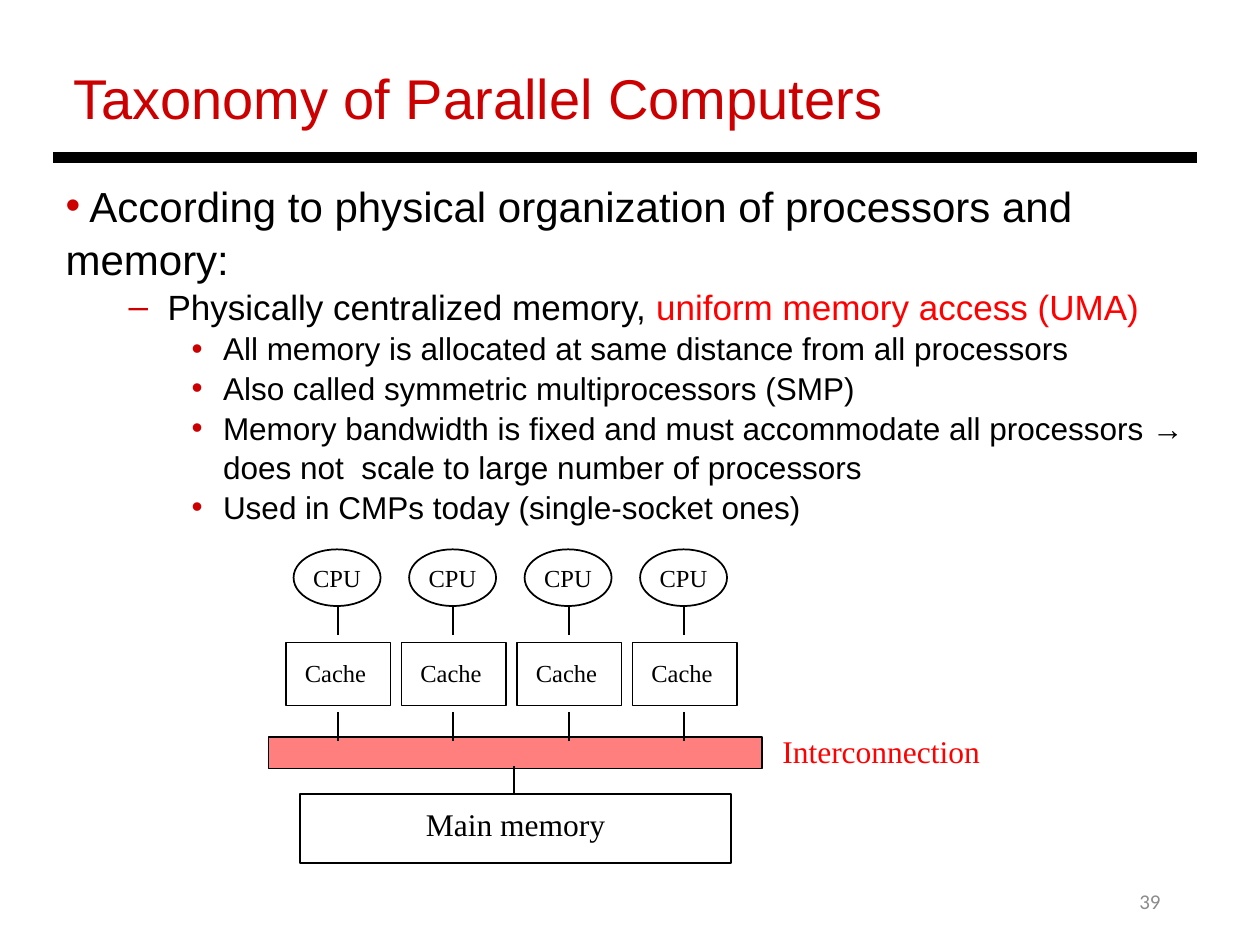
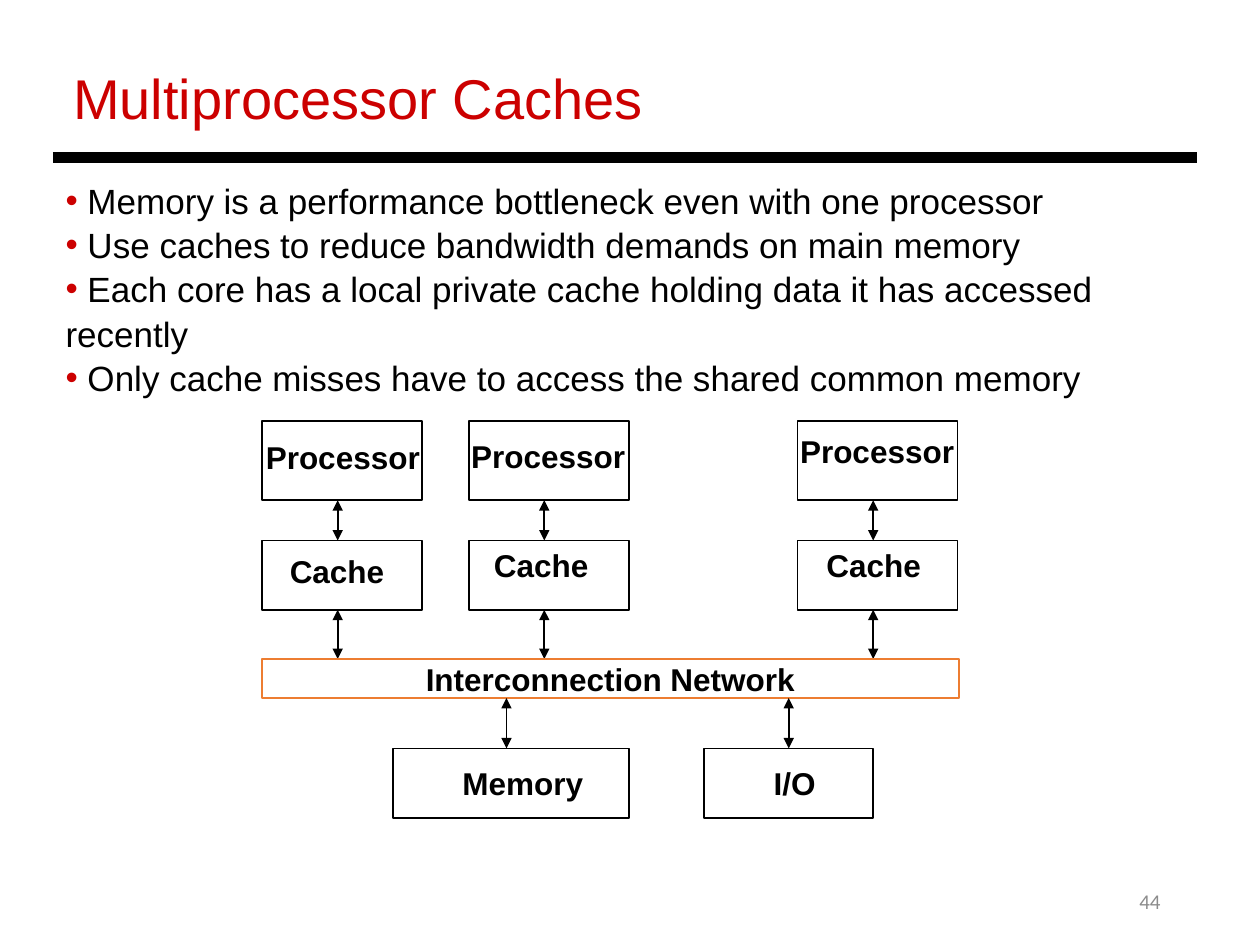
import pptx
import pptx.dml.color
import pptx.enum.shapes
import pptx.enum.text
import pptx.oxml.ns
import pptx.util
from lxml import etree

Inches = pptx.util.Inches
Pt = pptx.util.Pt
qn = pptx.oxml.ns.qn
SHAPE = pptx.enum.shapes.MSO_SHAPE
ALIGN = pptx.enum.text.PP_ALIGN
ANCHOR = pptx.enum.text.MSO_ANCHOR

COLORS = {
    "title": "CC0000",
    "bullet": "CC0000",
    "text": "000000",
    "line": "000000",
    "highlight": "FF0000",
    "network": "ED7D31",
    "page": "8C8C8C",
}
SANS, SERIF, PAGE_FONT = "Arial", "Times New Roman", "Calibri"
LINE_SPACING = 1.05
# Per list level: bullet, left margin and first-line indent in inches
LEVELS = [("•", 0, 0), ("–", 0.81, -0.31), ("•", 1.25, -0.25)]


def rgb(name):
    return pptx.dml.color.RGBColor.from_string(COLORS[name])


def set_font(font, size, face, color="text", bold=False):
    font.size = Pt(size)
    font.name = face
    font.bold = bold
    font.color.rgb = rgb(color)


def place(shape, left, top, width, height):
    shape.left, shape.top = Inches(left), Inches(top)
    shape.width, shape.height = Inches(width), Inches(height)


def set_frame(frame, anchor, insets=(0.1, 0.05, 0.1, 0.05)):
    frame.word_wrap = True
    frame.auto_size = pptx.enum.text.MSO_AUTO_SIZE.NONE
    frame.vertical_anchor = anchor
    (frame.margin_left, frame.margin_top,
     frame.margin_right, frame.margin_bottom) = map(Inches, insets)


def add_label(slide, text, box, size, face, color, align=ALIGN.LEFT,
              anchor=ANCHOR.TOP, insets=(0.1, 0.05, 0.1, 0.05)):
    label = slide.shapes.add_textbox(*map(Inches, box))
    set_frame(label.text_frame, anchor, insets)
    paragraph = label.text_frame.paragraphs[0]
    paragraph.text = text
    paragraph.alignment = align
    set_font(paragraph.font, size, face, color)


def add_line(slide, start, end, width=1, arrows=False):
    line = slide.shapes.add_connector(
        pptx.enum.shapes.MSO_CONNECTOR.STRAIGHT, *map(Inches, start + end))
    line.line.color.rgb = rgb("line")
    line.line.width = Pt(width)
    if arrows:
        outline = line.line._get_or_add_ln()
        for tag in ("a:headEnd", "a:tailEnd"):
            etree.SubElement(outline, qn(tag), type="triangle")
    etree.SubElement(line._element.spPr, qn("a:effectLst"))


def add_vertical(slide, x, top, bottom, arrows=False):
    add_line(slide, (x, top), (x, bottom), arrows=arrows)


def add_node(slide, box, text="", size=18, face=SANS, bold=False,
             line="line", kind=SHAPE.RECTANGLE, label_at=None):
    """Outlined shape; its text is centred, or starts at label_at inside it."""
    node = slide.shapes.add_shape(kind, *map(Inches, box))
    node.shadow.inherit = False
    node.fill.background()
    node.line.color.rgb = rgb(line)
    node.line.width = Pt(1)
    if text:
        left, top = label_at or (0, 0)
        set_frame(node.text_frame, ANCHOR.TOP if label_at else ANCHOR.MIDDLE,
                  (left, top, 0, 0))
        paragraph = node.text_frame.paragraphs[0]
        paragraph.text = text
        paragraph.alignment = ALIGN.LEFT if label_at else ALIGN.CENTER
        set_font(paragraph.font, size, face, bold=bold)
    return node


def set_bullet(paragraph, level):
    char, margin, indent = LEVELS[level]
    paragraph.level = level
    props = paragraph._p.get_or_add_pPr()
    props.set("marL", str(Inches(margin)))
    props.set("indent", str(Inches(indent)))
    color = etree.SubElement(props, qn("a:buClr"))
    etree.SubElement(color, qn("a:srgbClr"), val=COLORS["bullet"])
    etree.SubElement(props, qn("a:buFont"), typeface=SANS)
    etree.SubElement(props, qn("a:buChar"), char=char)


def fill_list(body, items):
    """Items are (level, size, text) with an optional highlighted ending."""
    set_frame(body.text_frame, ANCHOR.TOP)
    for index, (level, size, text, *endings) in enumerate(items):
        frame = body.text_frame
        paragraph = frame.add_paragraph() if index else frame.paragraphs[0]
        paragraph.line_spacing = LINE_SPACING
        paragraph.space_before = paragraph.space_after = Pt(0)
        set_bullet(paragraph, level)
        set_font(paragraph.font, size, SANS)
        paragraph.add_run().text = text
        for ending in endings:
            run = paragraph.add_run()
            run.text = ending
            run.font.color.rgb = rgb("highlight")


def start_slide(deck, title, page, items, list_height):
    slide = deck.slides.add_slide(deck.slide_layouts[1])
    heading, body = slide.placeholders
    place(heading, 0.48, 0.43, 8.26, 0.64)
    set_frame(heading.text_frame, ANCHOR.TOP)
    paragraph = heading.text_frame.paragraphs[0]
    paragraph.text = title
    paragraph.alignment = ALIGN.LEFT
    paragraph.line_spacing = LINE_SPACING
    set_font(paragraph.font, 32, SANS, "title")
    place(body, 0.42, 1.36, 9.28, list_height)
    fill_list(body, items)
    add_line(slide, (0.42, 1.25), (9.5, 1.25), width=6)
    add_label(slide, page, (7.06, 6.95, 2.25, 0.4), 12, PAGE_FONT, "page",
              ALIGN.RIGHT, ANCHOR.MIDDLE)
    return slide


def draw_uma(slide):
    bus = add_node(slide, (2.13, 5.85, 3.92, 0.25))
    bus.fill.solid()
    bus.fill.fore_color.rgb = rgb("highlight")
    bus_color = bus._element.spPr.find(qn("a:solidFill"))[0]
    etree.SubElement(bus_color, qn("a:alpha"), val="50000")
    add_label(slide, "Interconnection", (6.2, 5.79, 1.7, 0.33), 18, SERIF,
              "highlight", insets=(0.01, 0.02, 0, 0))

    pitch = 2.75 / 3
    for column in range(4):
        shift = column * pitch
        add_node(slide, (2.33 + shift, 4.36, 0.69, 0.45), "CPU", 14, SERIF,
                 kind=SHAPE.OVAL)
        add_node(slide, (2.27 + shift, 5.1, 0.83, 0.5), "Cache", 14, SERIF,
                 label_at=(0.15, 0.12))
        for top in (4.81, 5.65):
            add_vertical(slide, 2.68 + shift, top, top + 0.23)

    add_vertical(slide, 4.08, 6.08, 6.3)
    add_node(slide, (2.38, 6.3, 3.42, 0.55), "Main memory", 18, SERIF,
             label_at=(1, 0.09))


def draw_cache_system(slide):
    # Column left edge, then where the processor and cache labels start
    columns = [
        (2.08, (0.03, 0.14), (0.22, 0.09)),
        (3.72, (0.02, 0.13), (0.2, 0.04)),
        (6.33, (0.02, 0.09), (0.23, 0.04)),
    ]
    for left, processor_at, cache_at in columns:
        add_node(slide, (left, 3.34, 1.27, 0.63), "Processor", bold=True,
                 label_at=processor_at)
        add_node(slide, (left, 4.29, 1.27, 0.55), "Cache", bold=True,
                 label_at=cache_at)
        for top, bottom in ((3.97, 4.29), (4.84, 5.23)):
            add_vertical(slide, left + 0.6, top, bottom, arrows=True)

    add_node(slide, (2.08, 5.23, 5.53, 0.31), "Interconnection Network",
             bold=True, line="network")
    for text, left, width, arrow_x in (("Memory", 3.12, 1.87, 4.02),
                                       ("I/O", 5.59, 1.34, 6.26)):
        add_node(slide, (left, 5.94, width, 0.55), text, bold=True,
                 label_at=(0.55, 0.12))
        add_vertical(slide, arrow_x, 5.54, 5.94, arrows=True)


def main():
    deck = pptx.Presentation()
    deck.slide_width, deck.slide_height = Inches(10), Inches(7.5)

    draw_uma(start_slide(deck, "Taxonomy of Parallel Computers", "39", [
        (0, 24, " According to physical organization of processors and memory:"),
        (1, 20, "Physically centralized memory, ", "uniform memory access (UMA)"),
        (2, 18, "All memory is allocated at same distance from all processors"),
        (2, 18, "Also called symmetric multiprocessors (SMP)"),
        (2, 18, "Memory bandwidth is fixed and must accommodate all processors → "
                "does not  scale to large number of processors"),
        (2, 18, "Used in CMPs today (single-socket ones)"),
    ], 2.76))

    draw_cache_system(start_slide(deck, "Multiprocessor Caches", "44", [
        (0, 20, " Memory is a performance bottleneck even with one processor"),
        (0, 20, " Use caches to reduce bandwidth demands on main memory"),
        (0, 20, " Each core has a local private cache holding data it has "
                "accessed recently"),
        (0, 20, " Only cache misses have to access the shared common memory"),
    ], 1.78))

    deck.save("out.pptx")


if __name__ == "__main__":
    main()
